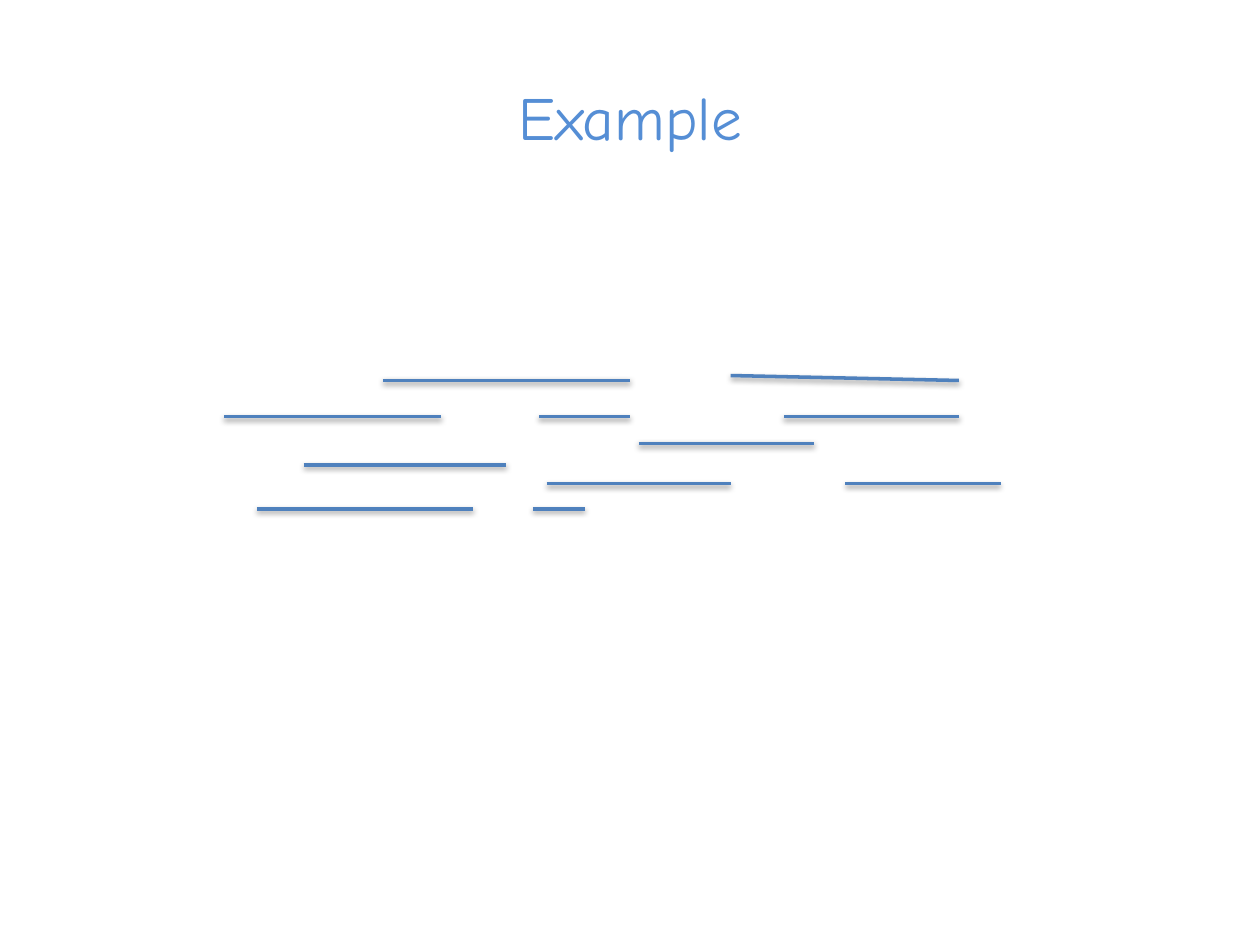
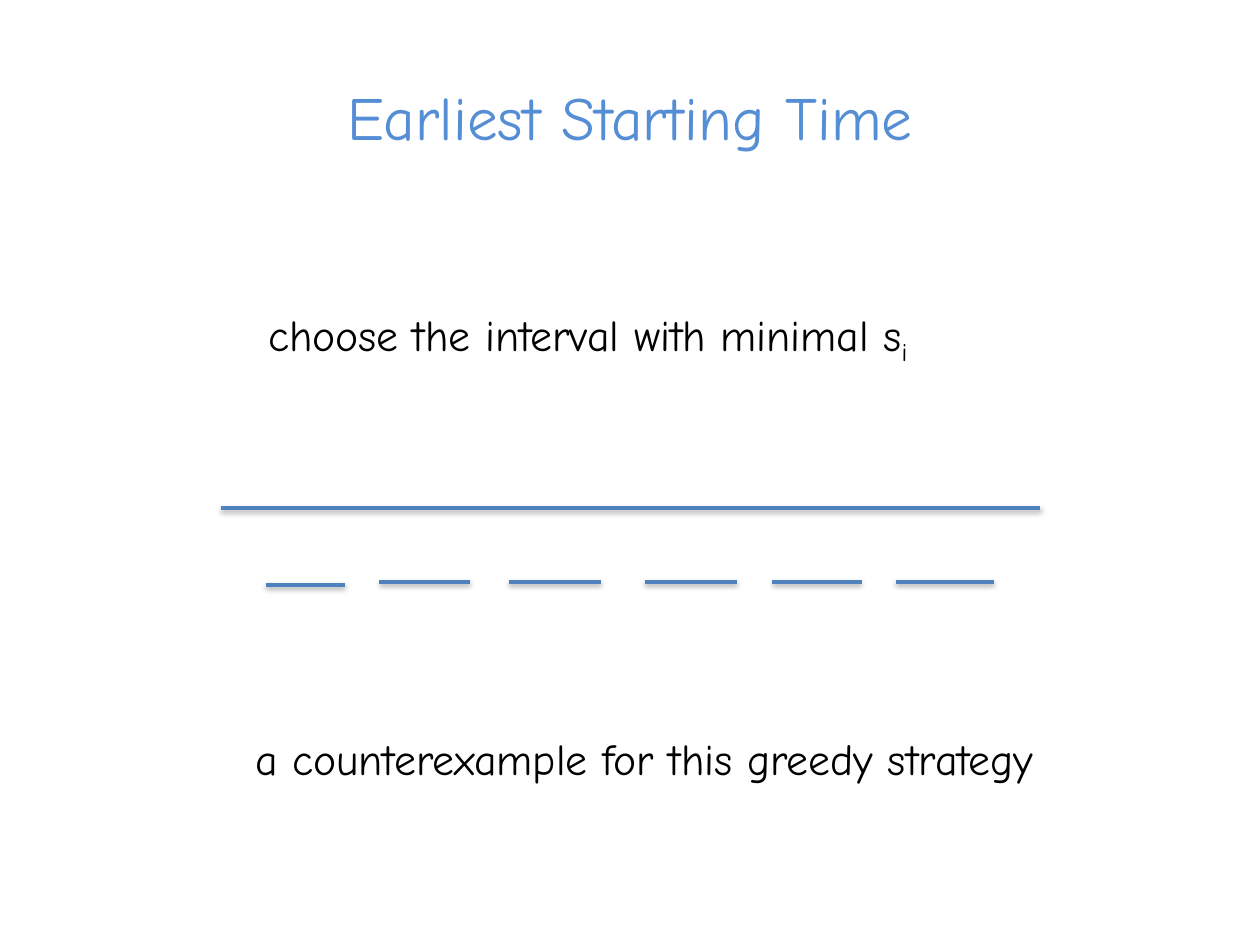
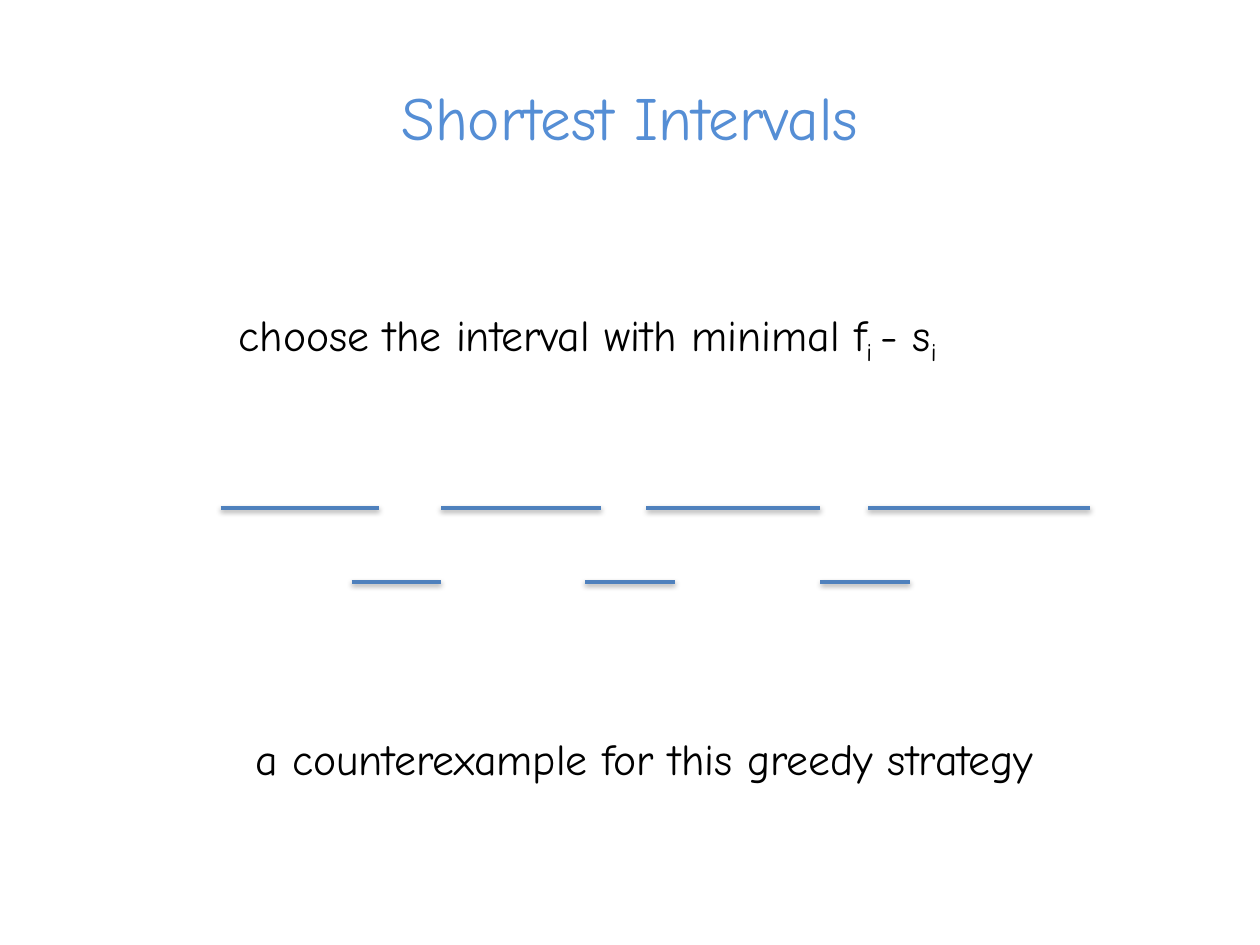
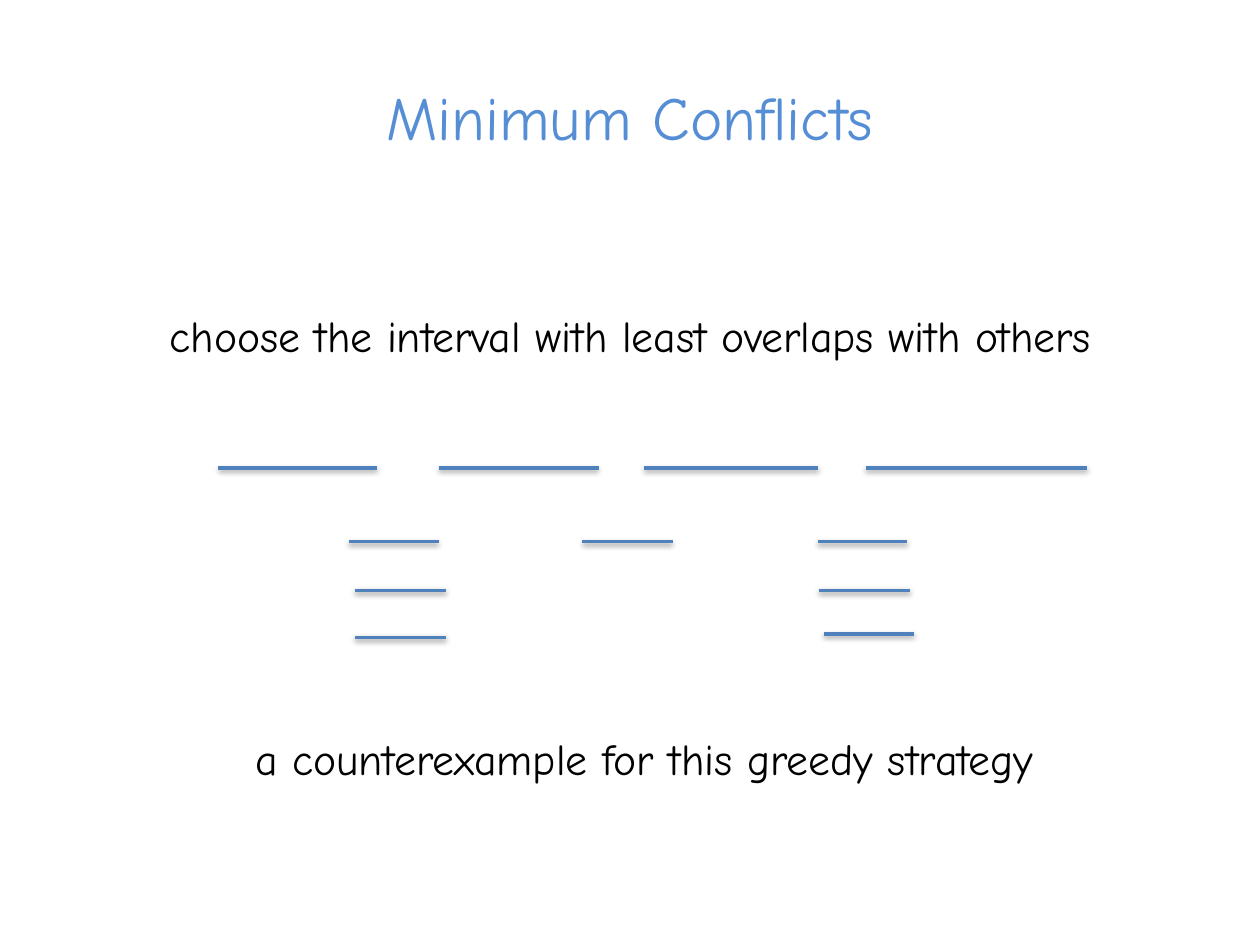
from dataclasses import dataclass, replace
from typing import Optional

from lxml.etree import SubElement
from pptx import Presentation
from pptx.dml.color import RGBColor
from pptx.enum.shapes import MSO_CONNECTOR as Connector
from pptx.enum.text import MSO_ANCHOR as Anchor, MSO_AUTO_SIZE as AutoSize, PP_ALIGN as Align
from pptx.oxml.ns import qn
from pptx.util import Cm, Pt

FONT = "Comic Neue"
TITLE_COLOR = "558ED5"
TEXT_COLOR = "000000"
LINE_COLOR = "4F81BD"
SHADOW_COLOR = "000000"
TITLE_ONLY = 5
INSET = 0.25
SUBSCRIPT_INSET = 0.85
COUNTEREXAMPLE = "a counterexample for this greedy strategy"


@dataclass(frozen=True)
class Interval:
    start: float
    end: float
    height: float
    drop: float = 0

    def moved(self, across: float, down: float) -> "Interval":
        return replace(self, start=self.start + across, end=self.end + across,
                       height=self.height + down)


@dataclass(frozen=True)
class Span:
    text: str
    subscript: bool = False


@dataclass(frozen=True)
class Caption:
    spans: list[Span]
    left: float
    top: float
    right_inset: float = INSET


@dataclass(frozen=True)
class Page:
    title: str
    intervals: list[Interval]
    rule: Optional[Caption] = None


def color(value: str) -> RGBColor:
    return RGBColor.from_string(value)


def write(frame, spans: list[Span], *, size: float, fill: str, before: float = 0) -> None:
    para = frame.paragraphs[0]
    para.alignment = Align.CENTER
    para.space_before = Pt(before)
    for part in spans:
        span = para.add_run()
        span.text = part.text
        span.font.name = FONT
        span.font.size = Pt(size)
        span.font.color.rgb = color(fill)
        if part.subscript:
            span.font._element.set("baseline", "-25000")


def add_title(slide, text: str) -> None:
    title = slide.shapes.title
    title.left, title.top, title.width, title.height = Cm(1.27), Cm(1.47), Cm(22.86), Cm(1.75)
    title.text_frame.vertical_anchor = Anchor.MIDDLE
    title.text_frame.auto_size = AutoSize.SHAPE_TO_FIT_TEXT
    write(title.text_frame, [Span(text)], size=35, fill=TITLE_COLOR)


def add_caption(slide, caption: Caption) -> None:
    box = slide.shapes.add_textbox(Cm(caption.left), Cm(caption.top), Cm(29.08), Cm(1.32))
    frame = box.text_frame
    frame.word_wrap = True
    frame.auto_size = AutoSize.SHAPE_TO_FIT_TEXT
    frame.margin_right = Cm(caption.right_inset)
    write(frame, caption.spans, size=25, fill=TEXT_COLOR, before=4)


def add_shadow(line) -> None:
    effects = SubElement(line._element.spPr, qn("a:effectLst"))
    shadow = SubElement(effects, qn("a:outerShdw"), blurRad="40000", dist="20000",
                        dir="5400000", rotWithShape="0")
    tint = SubElement(shadow, qn("a:srgbClr"), val=SHADOW_COLOR)
    SubElement(tint, qn("a:alpha"), val="38000")


def add_interval(slide, interval: Interval) -> None:
    line = slide.shapes.add_connector(
        Connector.STRAIGHT, Cm(interval.start), Cm(interval.height),
        Cm(interval.end), Cm(interval.height + interval.drop))
    line.line.color.rgb = color(LINE_COLOR)
    line.line.width = Pt(2)
    add_shadow(line)


def row(height: float, *ends: tuple[float, float]) -> list[Interval]:
    return [Interval(start, end, height) for start, end in ends]


def add_page(deck, page: Page) -> None:
    slide = deck.slides.add_slide(deck.slide_layouts[TITLE_ONLY])
    add_title(slide, page.title)
    if page.rule:
        add_caption(slide, page.rule)
        add_caption(slide, Caption([Span(COUNTEREXAMPLE)], -1.55, 14.63))
    for interval in page.intervals:
        add_interval(slide, interval)


mixed_intervals = [
    Interval(14.73, 19.33, 7.57, drop=0.1),
    *row(7.67, (7.72, 12.7)),
    *row(8.4, (4.52, 8.89), (10.87, 12.7), (15.8, 19.33)),
    *row(8.94, (12.88, 16.41)),
    *row(9.37, (6.12, 10.21)),
    *row(9.75, (11.02, 14.73), (17.04, 20.17)),
    *row(10.26, (5.18, 9.53), (10.74, 11.79)),
]
one_long_interval = [
    *row(10.24, (4.45, 20.96)),
    *row(11.79, (5.36, 6.96)),
    *row(11.73, (7.65, 9.47), (10.26, 12.12), (13, 14.86), (15.57, 17.37), (18.06, 20.04)),
]
short_overlaps = [
    *row(10.24, (4.45, 7.65), (8.89, 12.12), (13.03, 16.54), (17.5, 21.97)),
    *row(11.73, (7.09, 8.89), (11.79, 13.61), (16.54, 18.34)),
]
many_overlaps = [
    *(interval.moved(-0.05, -0.81) for interval in short_overlaps),
    *row(11.9, (7.16, 8.99), (16.51, 18.34)),
    *row(12.85, (7.16, 8.99)),
    *row(12.78, (16.61, 18.42)),
]

pages = [
    Page("Example", mixed_intervals),
    Page("Earliest Starting Time", one_long_interval, Caption(
        [Span("choose the interval with minimal s"), Span("i", subscript=True)],
        -2.39, 6.07, SUBSCRIPT_INSET)),
    Page("Shortest Intervals", short_overlaps, Caption(
        [Span("choose the interval with minimal f"), Span("i ", subscript=True),
         Span("- s"), Span("i", subscript=True)],
        -2.39, 6.07, SUBSCRIPT_INSET)),
    Page("Minimum Conflicts", many_overlaps, Caption(
        [Span("choose the interval with least overlaps with others")], -1.83, 6.1)),
]

deck = Presentation()
deck.slide_width, deck.slide_height = Cm(25.4), Cm(19.05)
for page in pages:
    add_page(deck, page)
deck.save("out.pptx")
